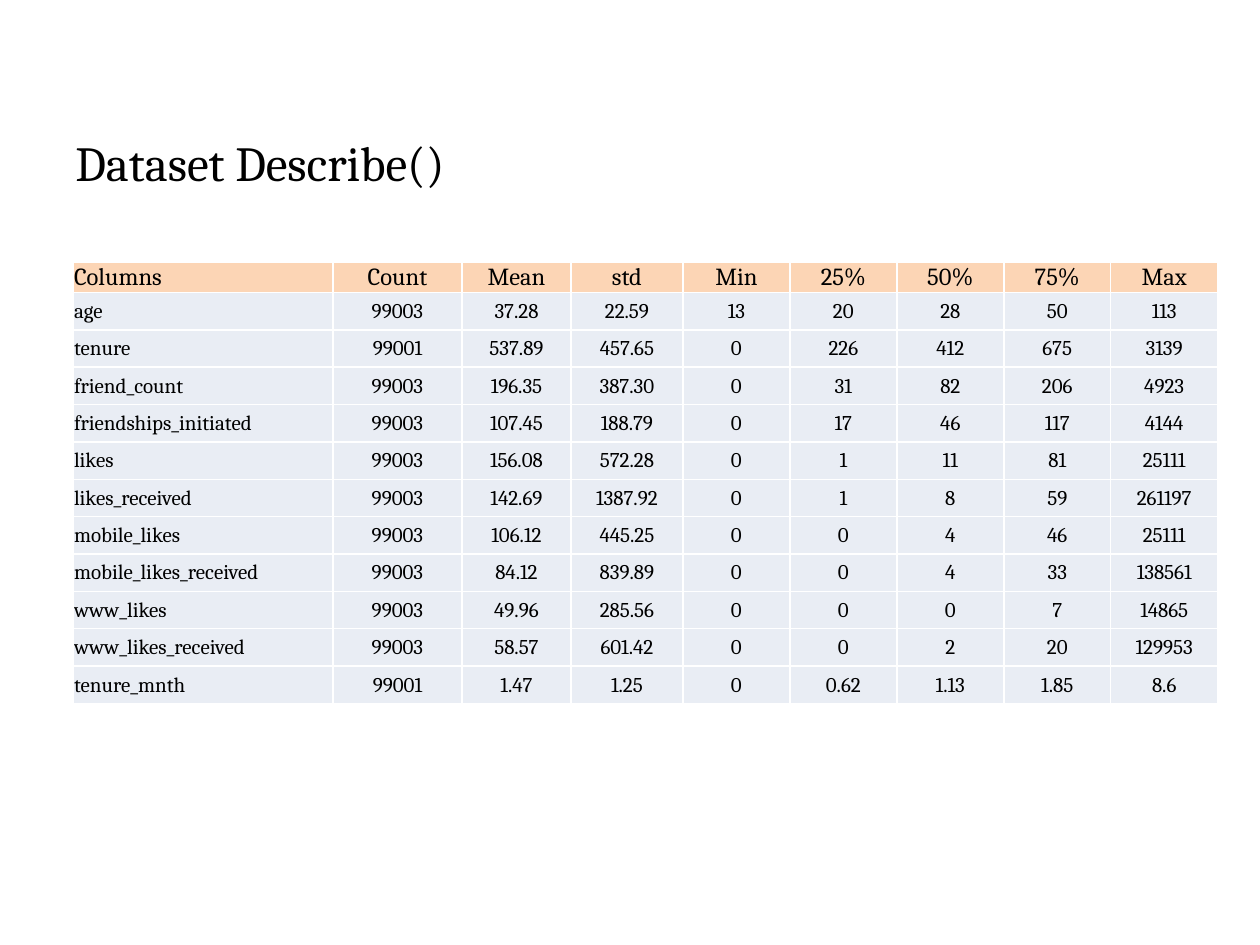
from lxml.etree import SubElement
from pptx import Presentation
from pptx.dml.color import RGBColor
from pptx.enum.text import MSO_ANCHOR, PP_ALIGN
from pptx.oxml.ns import qn
from pptx.util import Pt

EMU_PER_PX = 914400 / 126
FONT = "Cambria"
COLORS = {"text": "000000", "header": "FCD5B5", "body": "E9EDF4", "border": "FFFFFF"}

COLUMN_WIDTHS = [260, 129, 109, 112] + [107] * 5
HEADER_HEIGHT = 29
BODY_HEIGHT = 411

HEADINGS = ["Columns", "Count", "Mean", "std", "Min", "25%", "50%", "75%", "Max"]
STATISTICS = [
    ["age", "99003", "37.28", "22.59", "13", "20", "28", "50", "113"],
    ["tenure", "99001", "537.89", "457.65", "0", "226", "412", "675", "3139"],
    ["friend_count", "99003", "196.35", "387.30", "0", "31", "82", "206", "4923"],
    ["friendships_initiated", "99003", "107.45", "188.79", "0", "17", "46", "117", "4144"],
    ["likes", "99003", "156.08", "572.28", "0", "1", "11", "81", "25111"],
    ["likes_received", "99003", "142.69", "1387.92", "0", "1", "8", "59", "261197"],
    ["mobile_likes", "99003", "106.12", "445.25", "0", "0", "4", "46", "25111"],
    ["mobile_likes_received", "99003", "84.12", "839.89", "0", "0", "4", "33", "138561"],
    ["www_likes", "99003", "49.96", "285.56", "0", "0", "0", "7", "14865"],
    ["www_likes_received", "99003", "58.57", "601.42", "0", "0", "2", "20", "129953"],
    ["tenure_mnth", "99001", "1.47", "1.25", "0", "0.62", "1.13", "1.85", "8.6"],
]


def px(length):
    return round(length * EMU_PER_PX)


def add_run(paragraph, text, size):
    run = paragraph.add_run()
    run.text = text
    run.font.name = FONT
    run.font.size = Pt(size)
    run.font.color.rgb = RGBColor.from_string(COLORS["text"])


def add_title(slide, text):
    title = slide.shapes.add_textbox(px(63), px(126), px(1134), px(126))
    title.text_frame.word_wrap = True
    add_run(title.text_frame.paragraphs[0], text, 28)


def add_borders(cell):
    properties = cell._tc.get_or_add_tcPr()
    for side in ("lnL", "lnR", "lnT", "lnB"):
        line = SubElement(properties, qn(f"a:{side}"), w=str(Pt(1)))
        fill = SubElement(line, qn("a:solidFill"))
        SubElement(fill, qn("a:srgbClr"), val=COLORS["border"])


def fill_cell(cell, text, size, color, alignment):
    add_borders(cell)
    cell.fill.solid()
    cell.fill.fore_color.rgb = RGBColor.from_string(color)
    cell.vertical_anchor = MSO_ANCHOR.MIDDLE
    cell.margin_left = cell.margin_right = cell.margin_top = px(1)
    cell.margin_bottom = 0
    paragraph = cell.text_frame.paragraphs[0]
    paragraph.alignment = alignment
    add_run(paragraph, text, size)


def add_statistics_table(slide):
    records = [HEADINGS] + STATISTICS
    table = slide.shapes.add_table(
        len(records), len(HEADINGS), px(73), px(262),
        px(sum(COLUMN_WIDTHS)), px(HEADER_HEIGHT + BODY_HEIGHT),
    ).table
    table.first_row = table.horz_banding = False
    for column, width in zip(table.columns, COLUMN_WIDTHS):
        column.width = px(width)
    for row_index, record in enumerate(records):
        is_header = row_index == 0
        height = HEADER_HEIGHT if is_header else BODY_HEIGHT / len(STATISTICS)
        table.rows[row_index].height = px(height)
        size = 14 if is_header else 12
        color = COLORS["header" if is_header else "body"]
        for column_index, text in enumerate(record):
            alignment = PP_ALIGN.CENTER if column_index else PP_ALIGN.LEFT
            fill_cell(table.cell(row_index, column_index), text, size, color, alignment)


def main():
    presentation = Presentation()
    presentation.slide_width = px(1260)
    presentation.slide_height = px(945)
    slide = presentation.slides.add_slide(presentation.slide_layouts[6])
    add_title(slide, "Dataset Describe()")
    add_statistics_table(slide)
    presentation.save("out.pptx")


if __name__ == "__main__":
    main()
